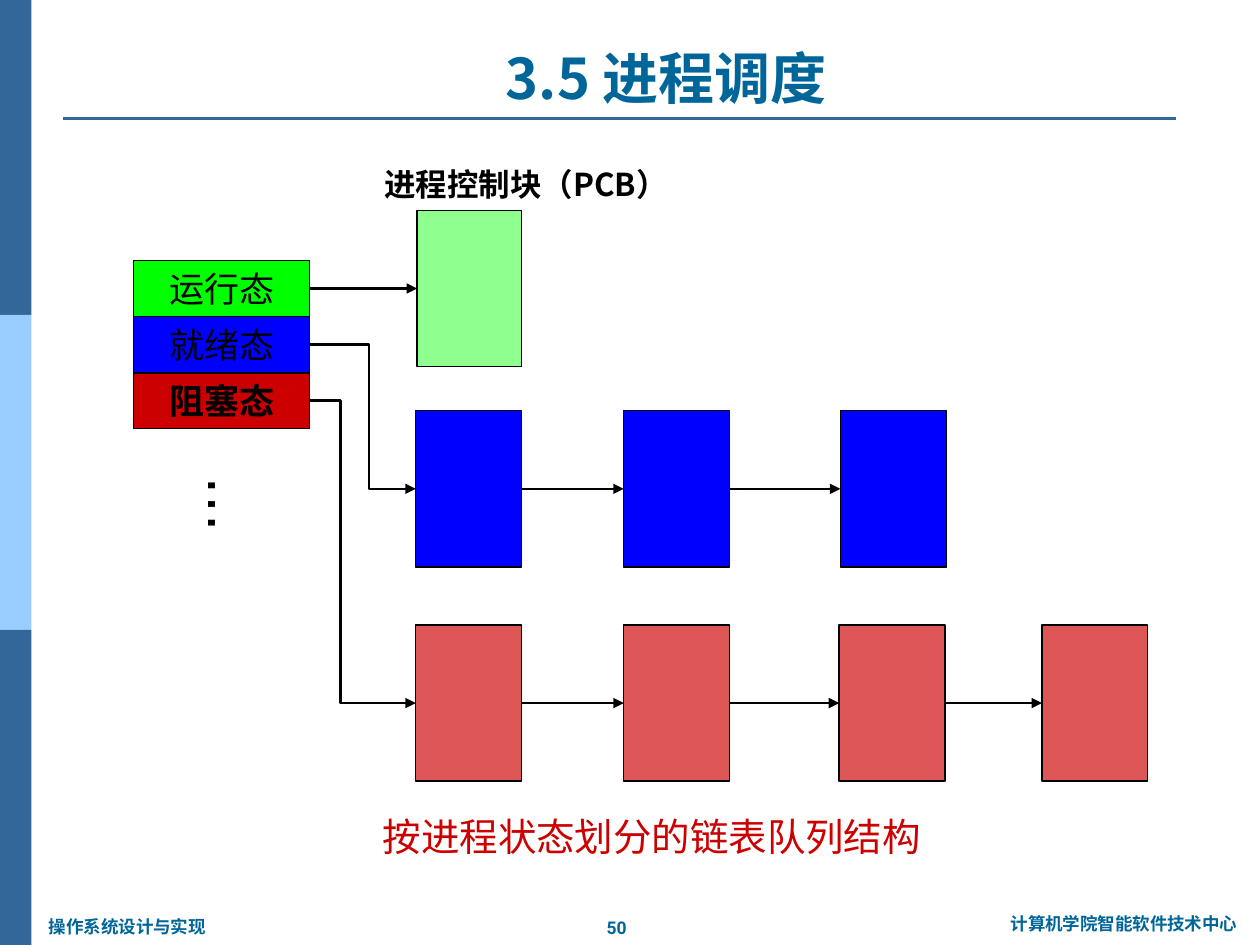
from dataclasses import dataclass

import pptx
import pptx.dml.color
import pptx.enum.shapes
import pptx.enum.text
import pptx.oxml
import pptx.oxml.ns
import pptx.util
from lxml import etree

Inches = pptx.util.Inches
RGBColor = pptx.dml.color.RGBColor
Align = pptx.enum.text.PP_ALIGN
Anchor = pptx.enum.text.MSO_ANCHOR
Link = pptx.enum.shapes.MSO_CONNECTOR
qn = pptx.oxml.ns.qn

BLACK = RGBColor(0x00, 0x00, 0x00)
GREEN = RGBColor(0x00, 0xFF, 0x00)
BLUE = RGBColor(0x00, 0x00, 0xFF)
RED = RGBColor(0xCC, 0x00, 0x00)
TEAL = RGBColor(0x00, 0x66, 0x99)
STEEL = RGBColor(0x33, 0x66, 0x99)
SKY = RGBColor(0x99, 0xCC, 0xFF)

SANS = "Noto Sans CJK SC"
ROBOTO = "Roboto"
RIGHT, LEFT = 3, 1  # connection sites of a rectangle


@dataclass
class Label:
    text: str
    box: tuple
    size: int
    font: str = ROBOTO
    color: RGBColor = BLACK
    bold: bool = False
    align: Align = Align.LEFT
    anchor: Anchor = Anchor.TOP
    wrap: bool = True
    turn: int = 0


@dataclass
class Queue:
    """A state and the chain of blocks that hangs from it."""
    name: str
    font: str
    bold: bool
    color: RGBColor
    alpha: int
    top: float
    width: float
    lefts: tuple
    bend: float | None


QUEUES = (
    Queue("运行态", ROBOTO, False, GREEN, 44, 1.67, 0.83, (3.31,), None),
    Queue("就绪态", ROBOTO, False, BLUE, 100, 3.26, 0.84,
          (3.3, 4.95, 6.67), 0.56),
    Queue("阻塞态", SANS, True, RED, 66, 4.96, 0.84,
          (3.3, 4.95, 6.66, 8.27), 0.29),
)

FOOT = dict(size=10, color=TEAL, bold=True)
LABELS = (
    Label("50", (4.71, 7.23, 0.37, 0.27), align=Align.CENTER,
          wrap=False, **FOOT),
    Label("计算机学院智能软件技术中心", (7.87, 7.2, 2.1, 0.27),
          align=Align.CENTER, **FOOT),
    Label("操作系统设计与实现", (0.29, 7.22, 1.46, 0.27), wrap=False, **FOOT),
    Label("按进程状态划分的链表队列结构", (2.94, 6.4, 4.7, 0.53), 22, color=RED),
    Label("进程控制块（PCB）", (2.95, 1.26, 2.62, 0.46), 18, SANS, bold=True),
    Label("…", (1.36, 3.57, 0.95, 0.87), 32, "DejaVu Sans",
          align=Align.CENTER, anchor=Anchor.MIDDLE, wrap=False, turn=90),
    Label("3.5 进程调度", (1.8, 0.3, 6.98, 0.63), 32, SANS, TEAL, True,
          Align.CENTER, Anchor.BOTTOM),
)


def write(shape, label: Label) -> None:
    frame = shape.text_frame
    frame.word_wrap = label.wrap
    frame.vertical_anchor = label.anchor
    para = frame.paragraphs[0]
    para.alignment = label.align
    run = para.add_run()
    run.text = label.text
    look = {"size": pptx.util.Pt(label.size), "name": label.font,
            "bold": label.bold}
    for key, value in look.items():
        setattr(run.font, key, value)
    run.font.color.rgb = label.color
    east = etree.SubElement(run.font._element, qn("a:ea"))
    east.set("typeface", label.font)


def add_label(slide, label: Label) -> None:
    shape = slide.shapes.add_textbox(*map(Inches, label.box))
    shape.rotation = label.turn
    write(shape, label)


def add_rect(slide, box: tuple, color: RGBColor, edge: bool = True,
             alpha: int = 100):
    kind = pptx.enum.shapes.MSO_SHAPE.RECTANGLE
    rect = slide.shapes.add_shape(kind, *map(Inches, box))
    rect.shadow.inherit = False
    rect.fill.solid()
    rect.fill.fore_color.rgb = color
    if alpha < 100:
        tint = rect._element.spPr.find(".//" + qn("a:srgbClr"))
        etree.SubElement(tint, qn("a:alpha")).set("val", str(alpha * 1000))
    if edge:
        rect.line.color.rgb = BLACK
        rect.line.width = pptx.util.Pt(0.75)
    else:
        rect.line.fill.background()
    return rect


def add_line(slide, kind: Link, ends: tuple, color: RGBColor):
    line = slide.shapes.add_connector(kind, *map(Inches, ends))
    line.line.color.rgb = color
    line.line.width = pptx.util.Pt(1.5)
    etree.SubElement(line._element.spPr, qn("a:effectLst"))
    return line


def add_arrow(slide, start, end, bend: float | None = None) -> None:
    """Join two boxes; bend is the share of the width before the turn."""
    kind = Link.STRAIGHT if bend is None else Link.ELBOW
    line = add_line(slide, kind, (0, 0, 1, 1), BLACK)
    line.begin_connect(start, RIGHT)
    line.end_connect(end, LEFT)
    tail = etree.SubElement(line.line._get_or_add_ln(), qn("a:tailEnd"))
    tail.set("type", "triangle")
    if bend is not None:
        geom = line._element.spPr.find(qn("a:prstGeom"))
        guides = geom.find(qn("a:avLst"))
        if guides is None:
            guides = etree.SubElement(geom, qn("a:avLst"))
        guide = etree.SubElement(guides, qn("a:gd"))
        guide.set("name", "adj1")
        guide.set("fmla", f"val {round(bend * 100000)}")


def add_queue(slide, queue: Queue, row: int) -> None:
    box = (1.06, 2.07 + row * 0.445, 1.4, 0.44)
    state = add_rect(slide, box, queue.color)
    write(state, Label(queue.name, box, 20, queue.font, bold=queue.bold,
                       align=Align.CENTER, anchor=Anchor.MIDDLE))
    blocks = [add_rect(slide, (left, queue.top, queue.width, 1.24),
                       queue.color, alpha=queue.alpha)
              for left in queue.lefts]
    add_arrow(slide, state, blocks[0], queue.bend)
    for start, end in zip(blocks, blocks[1:]):
        add_arrow(slide, start, end)


def main() -> None:
    deck = pptx.Presentation()
    deck.slide_width, deck.slide_height = Inches(10), Inches(7.5)
    slide = deck.slides.add_slide(deck.slide_layouts[6])
    for row, color in enumerate((STEEL, SKY, STEEL)):
        add_rect(slide, (0, row * 2.5, 0.25, 2.5), color, edge=False)
    add_line(slide, Link.STRAIGHT, (0.5, 0.94, 9.33, 0.94), STEEL)
    for row, queue in enumerate(QUEUES):
        add_queue(slide, queue, row)
    for label in LABELS:
        add_label(slide, label)
    deck.save("out.pptx")


if __name__ == "__main__":
    main()
